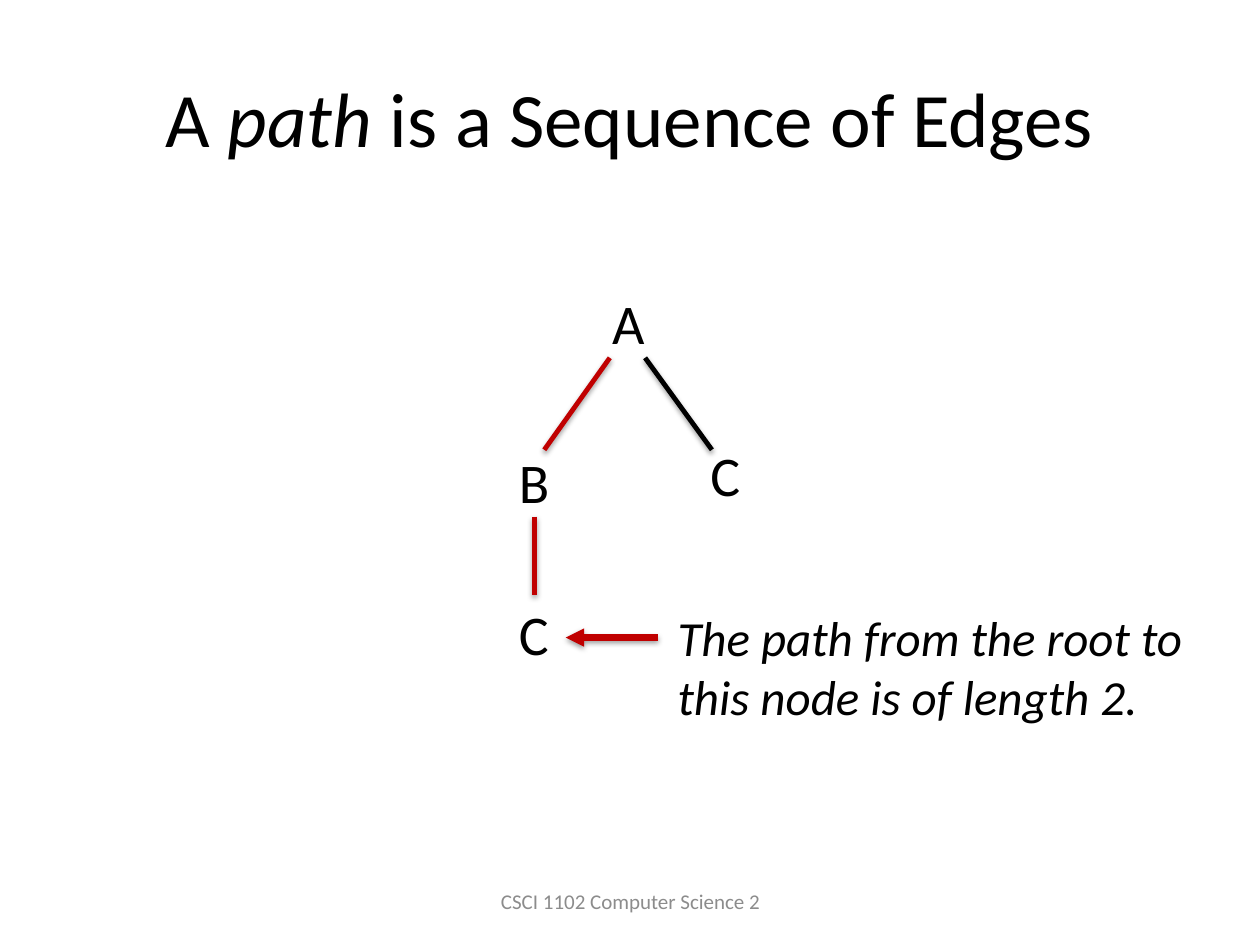
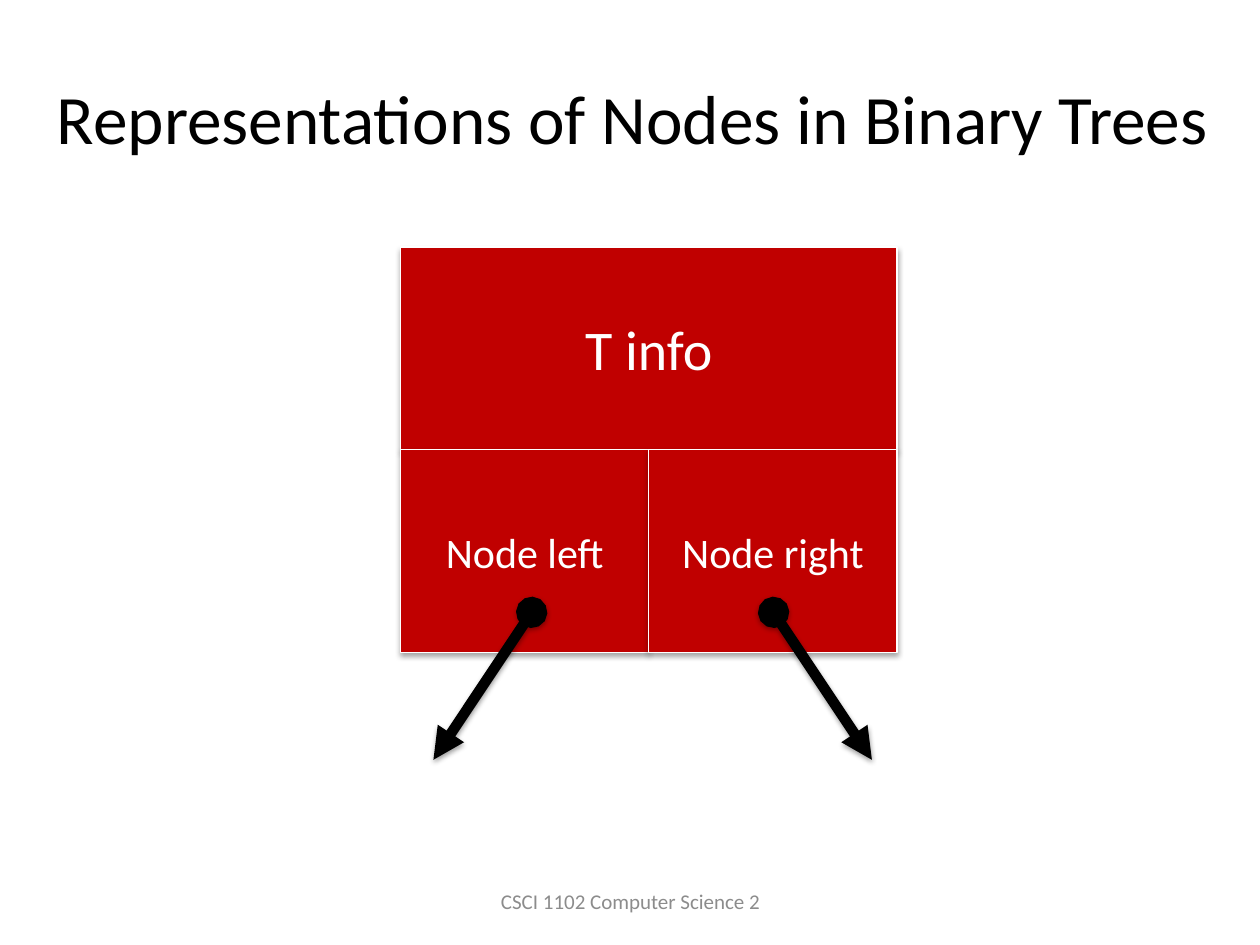
"""Build two slides on paths and node representations in binary trees."""
from lxml.etree import SubElement
from pptx import Presentation
from pptx.dml.color import RGBColor
from pptx.enum.shapes import MSO_CONNECTOR as Connector, MSO_SHAPE as Shape
from pptx.enum.text import MSO_ANCHOR as Anchor, MSO_AUTO_SIZE as AutoSize, PP_ALIGN as Align
from pptx.oxml.ns import qn
from pptx.util import Inches, Pt

BLACK = RGBColor(0x00, 0x00, 0x00)
WHITE = RGBColor(0xFF, 0xFF, 0xFF)
RED = RGBColor(0xC0, 0x00, 0x00)
GREY = RGBColor(0x8C, 0x8C, 0x8C)
FONT = "Calibri"
TITLE_ONLY = 5

FOOTER = "CSCI 1102 Computer Science 2"
FOOTER_BOX = (3.42, 6.95, 3.17, 0.4)

PATH_TITLE = [("A ", False), ("path", True), (" is a Sequence of Edges", False)]
PATH_TITLE_BOX = (0.5, 0.3, 9, 1.25)
TREE_NODES = [
    ("A", (4.76, 2.24, 0.46, 0.64)),
    ("B", (4.02, 3.5, 0.45, 0.64)),
    ("C", (5.54, 3.45, 0.44, 0.64)),
    ("C", (4.02, 4.71, 0.44, 0.64)),
]
TREE_EDGES = [
    ((4.84, 2.84), (4.32, 3.57), RED),
    ((5.12, 2.84), (5.65, 3.57), BLACK),
    ((4.24, 4.1), (4.24, 4.72), RED),
]
PATH_NOTE = "The path from the root to this node is of length 2."
PATH_NOTE_BOX = (5.28, 4.77, 4.64, 1.04)
PATH_NOTE_ARROW = ((5.22, 5.06), (4.49, 5.06))

RECORD_TITLE = [("Representations of Nodes in Binary Trees", False)]
RECORD_TITLE_BOX = (0.21, 0.3, 9.62, 1.25)
RECORD_ROWS = [(["T info"], 32), (["Node left", "Node right"], 24)]
RECORD_LEFT, RECORD_TOP, RECORD_WIDTH, ROW_HEIGHT = 3.18, 1.96, 3.94, 1.61
POINTER_TOP, POINTER_BOTTOM = 4.86, 6.03
POINTER_SPANS = [(4.22, 3.44), (6.14, 6.92)]


def inches(values):
    return [Inches(value) for value in values]


def write(frame, runs, size, color=BLACK, align=Align.LEFT, anchor=Anchor.TOP):
    frame.vertical_anchor = anchor
    paragraph = frame.paragraphs[0]
    paragraph.alignment = align
    for text, italic in runs:
        run = paragraph.add_run()
        run.text = text
        font = run.font
        font.name, font.size, font.italic = FONT, Pt(size), italic
        font.color.rgb = color


def add_label(slide, box, text, size, italic=False, wrap=False):
    frame = slide.shapes.add_textbox(*inches(box)).text_frame
    frame.word_wrap = wrap
    frame.auto_size = AutoSize.SHAPE_TO_FIT_TEXT
    write(frame, [(text, italic)], size)


def cast_shadow(properties, distance, opacity):
    effects = properties.find(qn("a:effectLst"))
    if effects is None:
        effects = SubElement(properties, qn("a:effectLst"))
    shadow = SubElement(effects, qn("a:outerShdw"), blurRad=str(Pt(3.1)),
                        dist=str(Pt(distance)), dir="5400000", rotWithShape="0")
    color = SubElement(shadow, qn("a:srgbClr"), val=str(BLACK))
    SubElement(color, qn("a:alpha"), val=str(opacity * 1000))


def add_line(slide, start, end, color, width, head=None, tail=None):
    connector = slide.shapes.add_connector(Connector.STRAIGHT, *inches(start + end))
    connector.line.color.rgb = color
    connector.line.width = Pt(width)
    outline = connector.line._get_or_add_ln()
    for tag, kind in (("a:headEnd", head), ("a:tailEnd", tail)):
        if kind:
            SubElement(outline, qn(tag), type=kind)
    cast_shadow(connector._element.spPr, 1.6, 38)


def add_field(slide, box, text, size):
    field = slide.shapes.add_shape(Shape.RECTANGLE, *inches(box))
    field.shadow.inherit = False
    field.fill.solid()
    field.fill.fore_color.rgb = RED
    field.line.color.rgb = WHITE
    field.line.width = Pt(0.75)
    cast_shadow(field._element.spPr, 1.8, 35)
    write(field.text_frame, [(text, False)], size, WHITE, Align.CENTER, Anchor.MIDDLE)


def add_slide(deck, title_runs, title_box, title_size):
    slide = deck.slides.add_slide(deck.slide_layouts[TITLE_ONLY])
    title = slide.shapes.title
    title.left, title.top, title.width, title.height = inches(title_box)
    title.text_frame.auto_size = AutoSize.NONE
    write(title.text_frame, title_runs, title_size, BLACK, Align.CENTER, Anchor.MIDDLE)
    footer = slide.shapes.add_textbox(*inches(FOOTER_BOX)).text_frame
    footer.word_wrap = True
    write(footer, [(FOOTER, False)], 12, GREY, Align.CENTER, Anchor.MIDDLE)
    return slide


def build_path_slide(deck):
    slide = add_slide(deck, PATH_TITLE, PATH_TITLE_BOX, 44)
    for name, box in TREE_NODES:
        add_label(slide, box, name, 32)
    for start, end, color in TREE_EDGES:
        add_line(slide, start, end, color, 2.75)
    add_line(slide, *PATH_NOTE_ARROW, RED, 3.5, tail="triangle")
    add_label(slide, PATH_NOTE_BOX, PATH_NOTE, 28, italic=True, wrap=True)


def build_record_slide(deck):
    slide = add_slide(deck, RECORD_TITLE, RECORD_TITLE_BOX, 39.6)
    for row, (fields, size) in enumerate(RECORD_ROWS):
        width = RECORD_WIDTH / len(fields)
        top = RECORD_TOP + row * ROW_HEIGHT
        for column, text in enumerate(fields):
            add_field(slide, (RECORD_LEFT + column * width, top, width, ROW_HEIGHT), text, size)
    for start_x, end_x in POINTER_SPANS:
        add_line(slide, (start_x, POINTER_TOP), (end_x, POINTER_BOTTOM), BLACK, 6,
                 head="oval", tail="triangle")


def main():
    deck = Presentation()
    deck.slide_width, deck.slide_height = Inches(10), Inches(7.5)
    build_path_slide(deck)
    build_record_slide(deck)
    deck.save("out.pptx")


if __name__ == "__main__":
    main()
